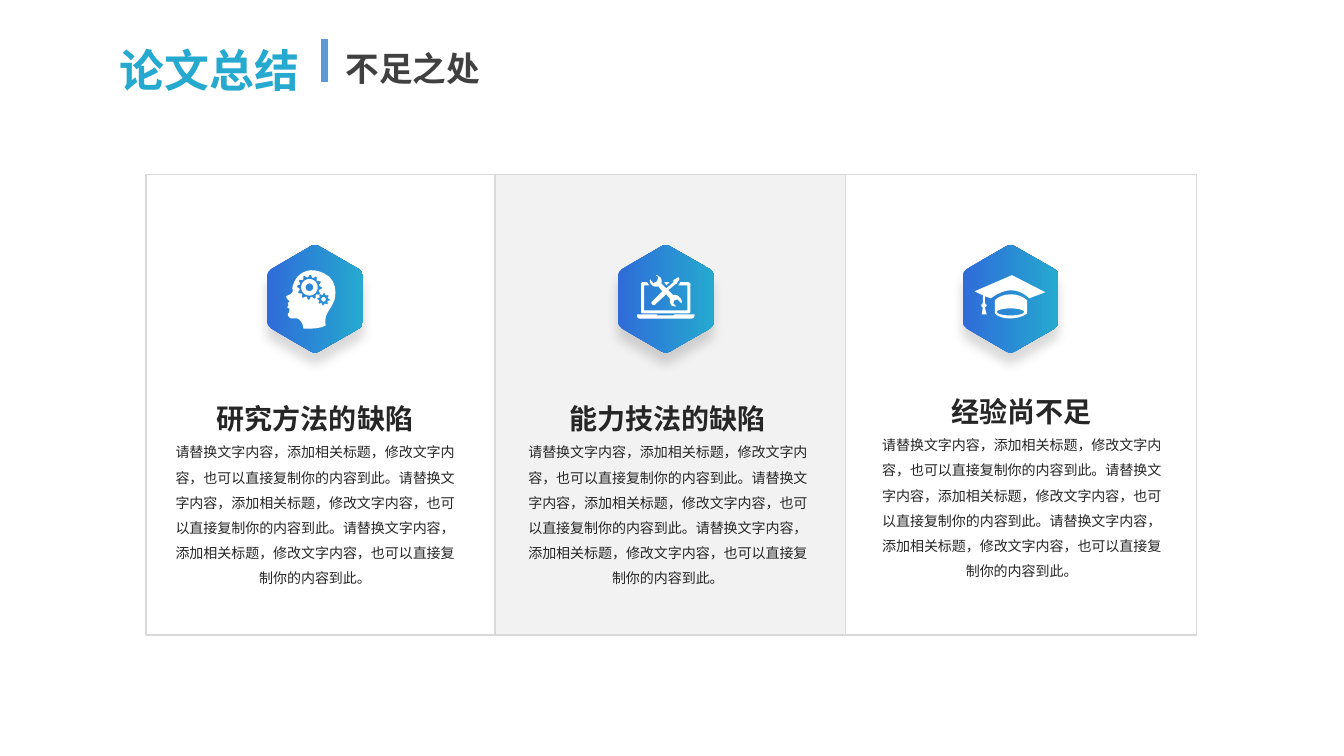
from math import cos, pi, sin

from lxml import etree
from pptx import Presentation
from pptx import util as u
from pptx.dml.color import RGBColor
from pptx.enum import shapes, text
from pptx.oxml import ns

COLS, ROWS = 133.33, 75
FONT, SANS = "Noto Sans CJK SC", "Arial"
BLUE, CYAN, BAR = "2F6CD9", "25A9CF", "5B9BD5"
WHITE, PALE, EDGE = "FFFFFF", "F2F2F2", "D9D9D9"
DARK, INK = "404040", "262626"


def rgb(code):
    return RGBColor.from_string(code)


def sub(node, tag, **vals):
    return etree.SubElement(node, ns.qn(tag), vals)


def ring(x, y, rx, ry, n=32):
    turns = [2 * pi * i / n for i in range(n)]
    return [(x + rx * cos(t), y + ry * sin(t)) for t in turns]


def gear(x, y, tip, root, teeth):
    wide, slim = ring(x, y, tip, tip, 4 * teeth), ring(x, y, root, root, 4 * teeth)
    return [wide[i] if i % 4 < 2 else slim[i] for i in range(4 * teeth)]


def trace(steps, n=6):
    """Turn points and six-number curves into plain points."""
    pts = []
    for step in steps:
        if len(step) == 2:
            pts.append(step)
            continue
        a, b, c, d = pts[-1], step[:2], step[2:4], step[4:]
        for i in range(1, n + 1):
            t = i / n
            s = 1 - t
            pts.append(tuple(s**3 * a[k] + 3 * s * s * t * b[k]
                             + 3 * s * t * t * c[k] + t**3 * d[k] for k in (0, 1)))
    return pts


class Deck:
    """Style and current slide; lengths are grid columns and rows."""

    def __init__(self):
        self.prs = Presentation()
        self.prs.slide_width, self.prs.slide_height = u.Inches(13.33), u.Inches(7.5)
        self.slide = self.prs.slides.add_slide(self.prs.slide_layouts[6])
        self.kit = self.slide.shapes

    def x(self, col):
        return round(self.prs.slide_width * col / COLS)

    def y(self, row):
        return round(self.prs.slide_height * row / ROWS)

    def box(self, x, y, w, h):
        return self.x(x), self.y(y), self.x(w), self.y(h)

    def panel(self, x, y, w, h, fill):
        rect = self.kit.add_shape(shapes.MSO_SHAPE.RECTANGLE, *self.box(x, y, w, h))
        rect.shadow.inherit = False
        rect.fill.solid()
        rect.fill.fore_color.rgb = rgb(fill)
        rect.line.color.rgb = rgb(EDGE)
        rect.line.width = u.Pt(1)

    def rule(self, x, top, end, color, width):
        line = self.kit.add_connector(shapes.MSO_CONNECTOR.STRAIGHT, self.x(x),
                                      self.y(end), self.x(x), self.y(top))
        line.line.color.rgb = rgb(color)
        line.line.width = u.Pt(width)
        sub(line._element.spPr, "a:effectLst")

    def words(self, x, y, w, h, lines, wrap=False, pad=None, align=None):
        """Each line is (text, size, bold, colour, font, line height)."""
        frame = self.kit.add_textbox(*self.box(x, y, w, h)).text_frame
        look = {"word_wrap": wrap, "auto_size": text.MSO_AUTO_SIZE.SHAPE_TO_FIT_TEXT}
        if pad is not None:
            look.update({f"margin_{side}": pad for side in ("left", "top", "right", "bottom")})
        for key, val in look.items():
            setattr(frame, key, val)
        for i, (copy, size, bold, color, face, lead) in enumerate(lines):
            para = frame.add_paragraph() if i else frame.paragraphs[0]
            para.alignment = align
            para.line_spacing = u.Pt(round(size * lead, 1))
            run = para.add_run()
            run.text = copy
            for key, val in {"size": u.Pt(size), "bold": bold, "name": face}.items():
                setattr(run.font, key, val)
            run.font.color.rgb = rgb(color)
            sub(run._r.get_or_add_rPr(), "a:ea", typeface=face)

    def form(self, x, y, loops):
        """Outline in tenths of a grid cell, measured from x, y."""
        spots = [[(self.x(x + a / 10), self.y(y + b / 10)) for a, b in trace(loop)]
                 for loop in loops]
        pen = self.kit.build_freeform(*spots[0][0])
        for i, loop in enumerate(spots):
            if i:
                pen.move_to(*loop[0])
            pen.add_line_segments(loop[1:], close=True)
        shape = pen.convert_to_shape()
        shape.shadow.inherit = False
        shape.line.fill.background()
        shape.fill.solid()
        shape.fill.fore_color.rgb = rgb(WHITE)
        return shape

    def badge(self, x, y):
        half = [(0, 53.5), (3.5, 52.5), (43.5, 29.5), (46.5, 26.5), (47.5, 23.5)]
        side = half + [(a, -b) for a, b in reversed(half)]
        edge = side + [(-a, b) for a, b in reversed(side)]
        hexa = self.form(x, y, [[(a + 47.5, b + 53.5) for a, b in edge]])
        hexa.fill.gradient()
        hexa.fill.gradient_angle = 0
        for stop, color in zip(hexa.fill.gradient_stops, (BLUE, CYAN)):
            stop.color.rgb = rgb(color)
        glow = sub(hexa._element.spPr.find(ns.qn("a:effectLst")), "a:outerShdw",
                   blurRad=str(u.Pt(8)), dist=str(u.Pt(8)), dir="5400000",
                   algn="t", rotWithShape="0")
        sub(sub(glow, "a:srgbClr", val="000000"), "a:alpha", val="15000")


# Icons: each is a list of shapes, each shape a list of loops
HEAD = [
    [[(56, 28), (47, 24, 40, 24, 33, 29), (27, 33, 25, 42, 25, 43),
      (25, 44, 27, 46, 23, 49), (19, 51, 19, 50, 19, 52), (19, 53, 21, 54, 21, 55),
      (22, 55, 22, 56, 22, 57), (21, 57, 20, 57, 21, 59), (21, 60, 23, 60, 24, 60),
      (21, 60), (21, 61, 20, 61, 20, 62), (21, 63, 22, 63, 22, 63), (22, 65),
      (22, 66, 22, 67, 21, 68), (20, 69, 21, 72, 24, 73), (27, 73, 28, 73, 30, 73),
      (33, 74, 36, 79, 36, 83), (44, 83), (49, 83, 54, 82, 58, 80),
      (56, 67, 63, 66, 67, 54), (68, 49, 70, 34, 56, 28)],
     gear(42, 42, 12.3, 10, 12), gear(56, 54, 6.2, 4.6, 8)],
    [ring(56, 54, 2.2, 2.2)],
    [ring(42, 42, 8.2, 8.2), ring(42, 42, 3.8, 3.8)],
]
LAPTOP = [
    [[(76, 69), (56, 69), (55, 70), (39, 70), (39, 69), (19, 69), (19, 70),
      (19, 72, 20, 73, 21, 73), (73, 73), (75, 73, 76, 72, 76, 70)]],
    [[(46, 37), (48, 40), (51, 37)]],
    [[(70, 37), (62, 37), (60, 40), (69, 40), (69, 65), (26, 65), (26, 40), (31, 40),
      (29, 37), (24, 37), (23, 38), (23, 67), (24, 68), (70, 68), (72, 67), (72, 38)]],
    [[(61, 52), (60, 50, 57, 49, 55, 50), (50, 45), (57, 39), (58, 39), (61, 34),
      (60, 32), (55, 35), (55, 37), (48, 43), (43, 38), (44, 36, 43, 33, 42, 32),
      (40, 31, 39, 30, 38, 30), (40, 32), (39, 36), (35, 38), (32, 34),
      (31, 36, 32, 38, 34, 40), (35, 41, 37, 42, 40, 41), (44, 46), (34, 56),
      (33, 57, 33, 58, 34, 59), (35, 60, 37, 60, 37, 59), (48, 49), (52, 54),
      (51, 56, 52, 58, 53, 60), (55, 61, 56, 61, 58, 61), (55, 58), (56, 55),
      (59, 54), (63, 58), (64, 56, 63, 53, 61, 52)]],
]
CAP = [
    [[(66, 53), (66, 53, 59, 45, 48, 45), (38, 45, 28, 53, 28, 53), (22, 51), (22, 58),
      (24, 59, 25, 61, 22, 62), (24, 69), (19, 69), (20, 62), (18, 61, 18, 59, 20, 58),
      (20, 50), (12, 46), (49, 30), (82, 47)],
     [(48, 49), (58, 49, 64, 55, 64, 55), (64, 68), (64, 68, 58, 73, 47, 73),
      (36, 73, 32, 68, 32, 68), (32, 55), (32, 55, 37, 49, 48, 49)],
     ring(47.5, 66.5, 13.5, 3.5)],
]
BODY = "请替换文字内容，添加相关标题，修改文字内容，也可以直接复制你的内容到此。" * 3
# Heading, icon, badge column, text column, text row
CARDS = [
    ("研究方法的缺陷", HEAD, 26.5, 17, 38.2),
    ("能力技法的缺陷", LAPTOP, 61.3, 52, 38.2),
    ("经验尚不足", CAP, 95.5, 87.1, 37.5),
]


def main():
    deck = Deck()

    # Panels, the middle one on top
    for col, fill in ((83.9, WHITE), (14.5, WHITE), (49.1, PALE)):
        deck.panel(col, 17.3, 34.8, 45.7, fill)

    # Title
    deck.words(10.9, 3.3, 20.5, 6.4, [("论文总结", 32, True, CYAN, FONT, 1.3)])
    deck.rule(32.2, 3.9, 8.1, BAR, 4.5)
    deck.words(33.3, 3.9, 15.8, 5, [("不足之处", 24, True, DARK, FONT, 1.3)])

    # Cards
    for name, icon, col, left, top in CARDS:
        deck.words(left, top, 28.5, 19.9,
                   [(name, 20, True, INK, SANS, 1.8), (BODY, 10, False, INK, SANS, 1.8)],
                   wrap=True, pad=0, align=text.PP_ALIGN.CENTER)
        deck.badge(col, 24.3)
        for loops in icon:
            deck.form(col, 24.3, loops)

    deck.prs.save("out.pptx")


if __name__ == "__main__":
    main()
